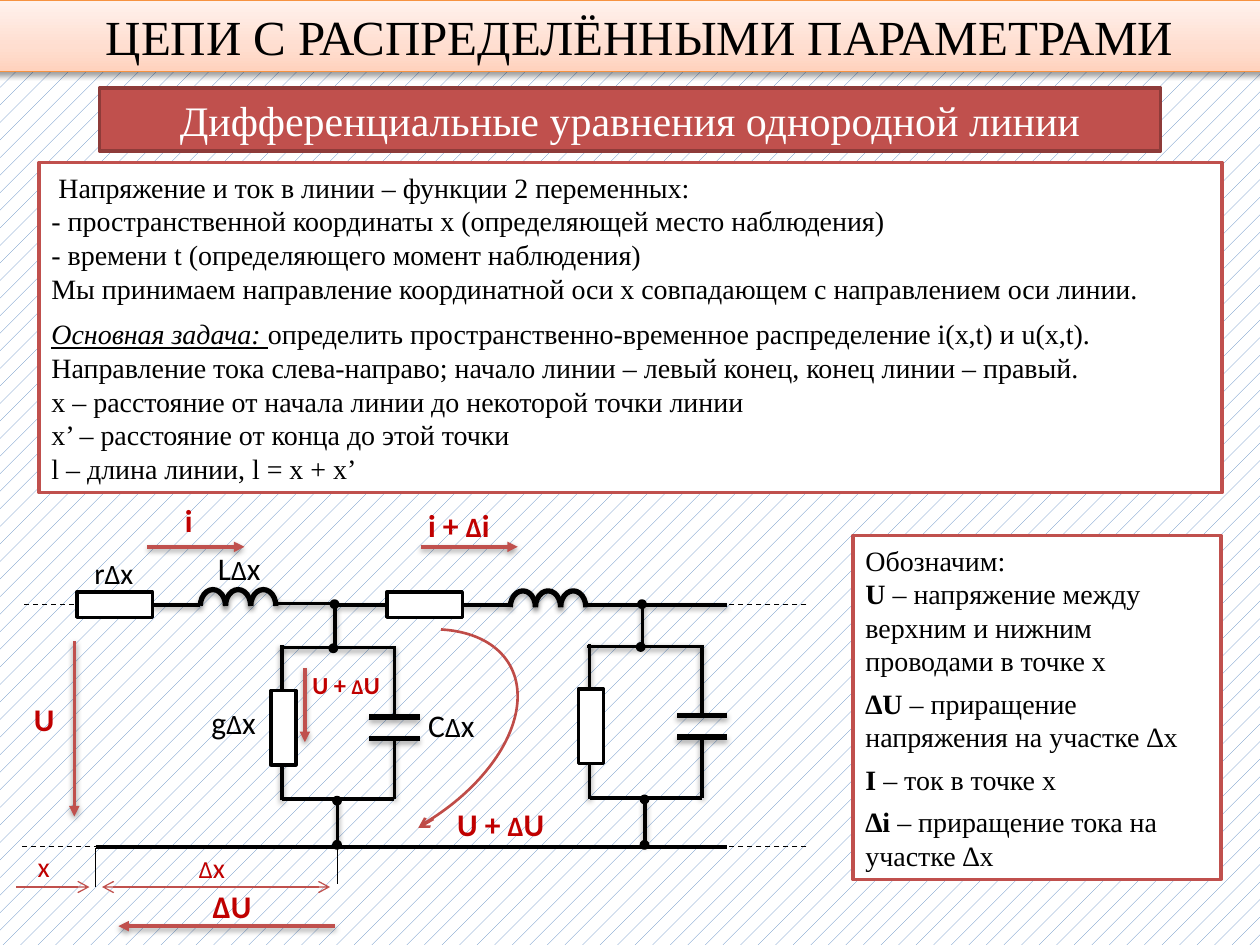
from copy import deepcopy
from dataclasses import dataclass

from lxml.etree import SubElement
from pptx import Presentation
from pptx.dml.color import RGBColor
from pptx.enum.dml import MSO_LINE, MSO_PATTERN
from pptx.enum.shapes import MSO_CONNECTOR, MSO_SHAPE
from pptx.enum.text import MSO_AUTO_SIZE, PP_ALIGN
from pptx.oxml.ns import qn
from pptx.util import Emu, Pt

PX = 9144


@dataclass(frozen=True)
class Theme:
    black: str = "000000"
    white: str = "FFFFFF"
    accent: str = "C0504D"
    accent_dark: str = "8E3B39"
    curve: str = "BF4C48"
    label: str = "C00000"
    hatch: str = "4F81BD"
    title_line: str = "F69240"
    title_stops: tuple = ((0, "FFD2BD"), (0.35, "FFDED0"), (1, "FFF2ED"))
    serif: str = "Times New Roman"
    sans: str = "Calibri"
    title_size: int = 28
    subtitle_size: int = 24
    body_size: int = 16
    label_size: int = 18
    small_size: int = 14


class SlideBuilder:
    """Draws styled text boxes and circuit parts on one slide."""

    def __init__(self, slide, theme):
        self.slide, self.theme = slide, theme

    def background(self):
        fill = self.slide.background.fill
        fill.patterned()
        fill.pattern = MSO_PATTERN.PERCENT_5
        fill.fore_color.rgb = RGBColor.from_string(self.theme.hatch)
        fill.back_color.rgb = RGBColor.from_string(self.theme.white)

    def outline(self, item, color, width, shadow=False):
        item.line.color.rgb = RGBColor.from_string(color)
        item.line.width = Pt(width)
        effects = SubElement(item._element.spPr, qn("a:effectLst"))
        if shadow:
            alpha, distance = ("35000", "23000") if width >= 3 else ("38000", "20000")
            outer = SubElement(effects, qn("a:outerShdw"), blurRad="40000",
                               dist=distance, dir="5400000", rotWithShape="0")
            tint = SubElement(outer, qn("a:srgbClr"), val=self.theme.black)
            SubElement(tint, qn("a:alpha"), val=alpha)

    def shape(self, kind, bounds, fill, color, width=2, shadow=False):
        shape = self.slide.shapes.add_shape(kind, *(Emu(n * PX) for n in bounds))
        if fill:
            shape.fill.solid()
            shape.fill.fore_color.rgb = RGBColor.from_string(fill)
        else:
            shape.fill.background()
        self.outline(shape, color, width, shadow)
        return shape

    def resistor(self, *bounds):
        self.shape(MSO_SHAPE.RECTANGLE, bounds, self.theme.white, self.theme.black)

    def dot(self, left, top):
        self.shape(MSO_SHAPE.OVAL, (left, top, 5, 5), self.theme.black, self.theme.black)

    def arc(self, bounds, start, color, width, shadow=False, rotation=0):
        arc = self.shape(MSO_SHAPE.ARC, bounds, None, color, width, shadow)
        arc.adjustments[0] = start
        arc.adjustments[1] = 0
        arc.rotation = rotation

    def line(self, x1, y1, x2, y2, width=2, color=None, dash=False, head=None, tail=None):
        points = (Emu(n * PX) for n in (x1, y1, x2, y2))
        line = self.slide.shapes.add_connector(MSO_CONNECTOR.STRAIGHT, *points)
        self.outline(line, color or self.theme.black, width, shadow=width in (2, 3))
        if dash:
            line.line.dash_style = MSO_LINE.DASH
        for end, arrow in (("a:headEnd", head), ("a:tailEnd", tail)):
            if arrow:
                SubElement(line._element.spPr.find(qn("a:ln")), qn(end), type=arrow)

    def arrow(self, *points):
        self.line(*points, color=self.theme.accent, tail="triangle")

    def gradient(self, shape, stops):
        shape.fill.gradient()
        shape.fill.gradient_angle = 90
        stop_list = shape._element.spPr.find(".//" + qn("a:gsLst"))
        stop_list.append(deepcopy(stop_list[0]))
        for stop, (position, color) in zip(shape.fill.gradient_stops, stops):
            stop.position = position
            stop.color.rgb = RGBColor.from_string(color)

    def set_text(self, box, paragraphs, font, color, align=PP_ALIGN.LEFT, wrap=True):
        frame = box.text_frame
        frame.word_wrap = wrap
        frame.auto_size = MSO_AUTO_SIZE.SHAPE_TO_FIT_TEXT
        for number, (space, pieces) in enumerate(paragraphs):
            para = frame.add_paragraph() if number else frame.paragraphs[0]
            para.alignment = align
            para.space_before = Pt(space)
            for text, size, emphasis in pieces:
                for row, part in enumerate(text.split("\n")):
                    if row:
                        para.add_line_break()
                    if part:
                        span = para.add_run()
                        span.text = part
                        span.font.name, span.font.size = font, Pt(size)
                        span.font.color.rgb = RGBColor.from_string(color)
                        span.font.bold = "b" in emphasis
                        span.font.italic = span.font.underline = "i" in emphasis

    def panel(self, bounds, paragraphs):
        box = self.shape(MSO_SHAPE.RECTANGLE, bounds, self.theme.white, self.theme.accent)
        size = self.theme.body_size
        sized = [(space, [(text, size, emphasis) for text, emphasis in pieces])
                 for space, pieces in paragraphs]
        self.set_text(box, sized, self.theme.serif, self.theme.black)

    def heading(self, bounds, text, size, fill, line, width, color, shadow=False):
        box = self.shape(MSO_SHAPE.RECTANGLE, bounds, fill, line, width, shadow)
        self.set_text(box, [(0, [(text, size, "")])], self.theme.serif, color, PP_ALIGN.CENTER)
        return box

    def label(self, bounds, text, size, delta_size, color, emphasis=""):
        box = self.slide.shapes.add_textbox(*(Emu(n * PX) for n in bounds))
        before, delta, after = text.partition("∆")
        pieces = [(before, size, emphasis), (delta, delta_size, emphasis), (after, size, emphasis)]
        self.set_text(box, [(0, pieces)], self.theme.sans, color, wrap=False)

    def coil(self, left, top):
        for turn in range(3):
            self.arc((left + 20 * turn, top, 20, 26), 108.562, self.theme.black, 3, True)

    def shunt(self, x, y):
        self.line(x + 42, 479, x + 42, 512)
        self.line(x - 2, y + 2, x + 89, y + 2)
        self.line(x, y + 123, x, y)
        self.line(x, y + 122, x + 89, y + 122, width=2.25)
        for plate in (57, 74):
            self.line(x + 109, y + plate, x + 69, y + plate, width=3)
        self.line(x + 89, y + 56, x + 89, y + 1)
        self.line(x + 89, y + 122, x + 89, y + 74)
        self.line(x + 44, y + 123, x + 44, 670)
        self.resistor(x - 9, y + 36, 20, 59)
        for left, top in ((39, 477), (38, y), (41, y + 121), (41, 668)):
            self.dot(x + left, top)


def main():
    theme = Theme()
    deck = Presentation()
    deck.slide_width, deck.slide_height = Emu(1000 * PX), Emu(750 * PX)
    page = SlideBuilder(deck.slides.add_slide(deck.slide_layouts[6]), theme)
    page.background()
    title = page.heading((-12, 0, 1039, 57), "ЦЕПИ С РАСПРЕДЕЛЁННЫМИ ПАРАМЕТРАМИ",
                         theme.title_size, None, theme.title_line, 0.75, theme.black, True)
    page.gradient(title, theme.title_stops)
    page.panel((31, 129, 939, 262), [
        (0, [(" Напряжение и ток в линии – функции 2 переменных:\n"
              "- пространственной координаты x (определяющей место наблюдения)\n"
              "- времени t (определяющего момент наблюдения)", "")]),
        (0, [("Мы принимаем направление координатной оси x совпадающем с направлением оси линии.", "")]),
        (7, [("Основная задача: ", "i"),
             ("определить пространственно-временное распределение i(x,t) и u(x,t).\n"
              "Направление тока слева-направо; начало линии – левый конец, конец линии – правый.\n"
              "x – расстояние от начала линии до некоторой точки линии \n"
              "x’ – расстояние от конца до этой точки\n"
              "l – длина линии, l = x + x’", "")])])
    page.heading((79, 70, 842, 50), "Дифференциальные уравнения однородной линии",
                 theme.subtitle_size, theme.accent, theme.accent_dark, 2, theme.white)

    for x1, y, x2 in ((159, 480, 17), (172, 672, 17), (640, 480, 497), (640, 672, 497)):
        page.line(x1, y, x2, y, width=0.75, dash=True)
    for x1, y, x2 in ((121, 480, 159), (219, 479, 266), (267, 480, 405), (465, 480, 577)):
        page.line(x1, y, x2, y)
    page.line(76, 672, 577, 672, width=2.25)
    for cell in range(2):
        page.resistor(61 + 246 * cell, 470, 60, 20)
        page.coil(159 + 246 * cell, 468 + cell)
        page.shunt(224 + 244 * cell, 512 - cell)

    for points in ((117, 434, 194, 434), (334, 434, 411, 434), (59, 509, 59, 648),
                   (242, 530, 242, 589), (266, 735, 94, 735)):
        page.arrow(*points)
    page.line(13, 704, 71, 704, width=0.75, color=theme.accent, tail="arrow")
    page.line(81, 704, 262, 704, width=0.75, color=theme.accent, head="arrow", tail="arrow")
    page.line(76, 673, 76, 704, width=0.75)
    page.line(268, 672, 268, 702, width=0.75)
    page.arc((221, 465, 151, 249), 144.343, theme.curve, 1.5, rotation=60.2)
    page.line(344, 650, 332, 657, width=1.5, color=theme.curve, tail="arrow")

    large, body, small = theme.label_size, theme.body_size, theme.small_size
    for bounds, text, size in (
            ((65, 435, 55, 40), "r∆x", 17), ((163, 431, 59, 42), "L∆x", large),
            ((158, 553, 60, 42), "g∆x", large), ((330, 555, 62, 42), "C∆x", large)):
        page.label(bounds, text, size, body, theme.black)
    for bounds, text, size, delta_size, emphasis in (
            ((330, 397, 74, 42), "i + ∆i", large, body, "b"),
            ((137, 393, 34, 42), "i", large, body, "b"),
            ((148, 670, 45, 38), "∆x", body, small, ""),
            ((20, 669, 32, 38), "x", body, small, ""),
            ((353, 634, 96, 42), "U + ∆U", large, body, "b"),
            ((238, 527, 78, 35), "U + ∆U", small, 12, "b"),
            ((17, 551, 38, 42), "U", large, body, "b"),
            ((159, 699, 54, 42), "∆U", large, large, "b")):
        page.label(bounds, text, size, delta_size, theme.label, emphasis)
    page.panel((677, 425, 292, 273), [
        (5, [("Обозначим: \n", ""), ("U", "b"),
             (" – напряжение между верхним и нижним проводами в точке x", "")]),
        (5, [("∆U ", "b"), ("– приращение напряжения на участке ∆x", "")]),
        (5, [("I ", "b"), ("– ток в точке x", "")]),
        (5, [("∆i ", "b"), ("– приращение тока на участке ∆x", "")])])
    deck.save("out.pptx")


if __name__ == "__main__":
    main()
